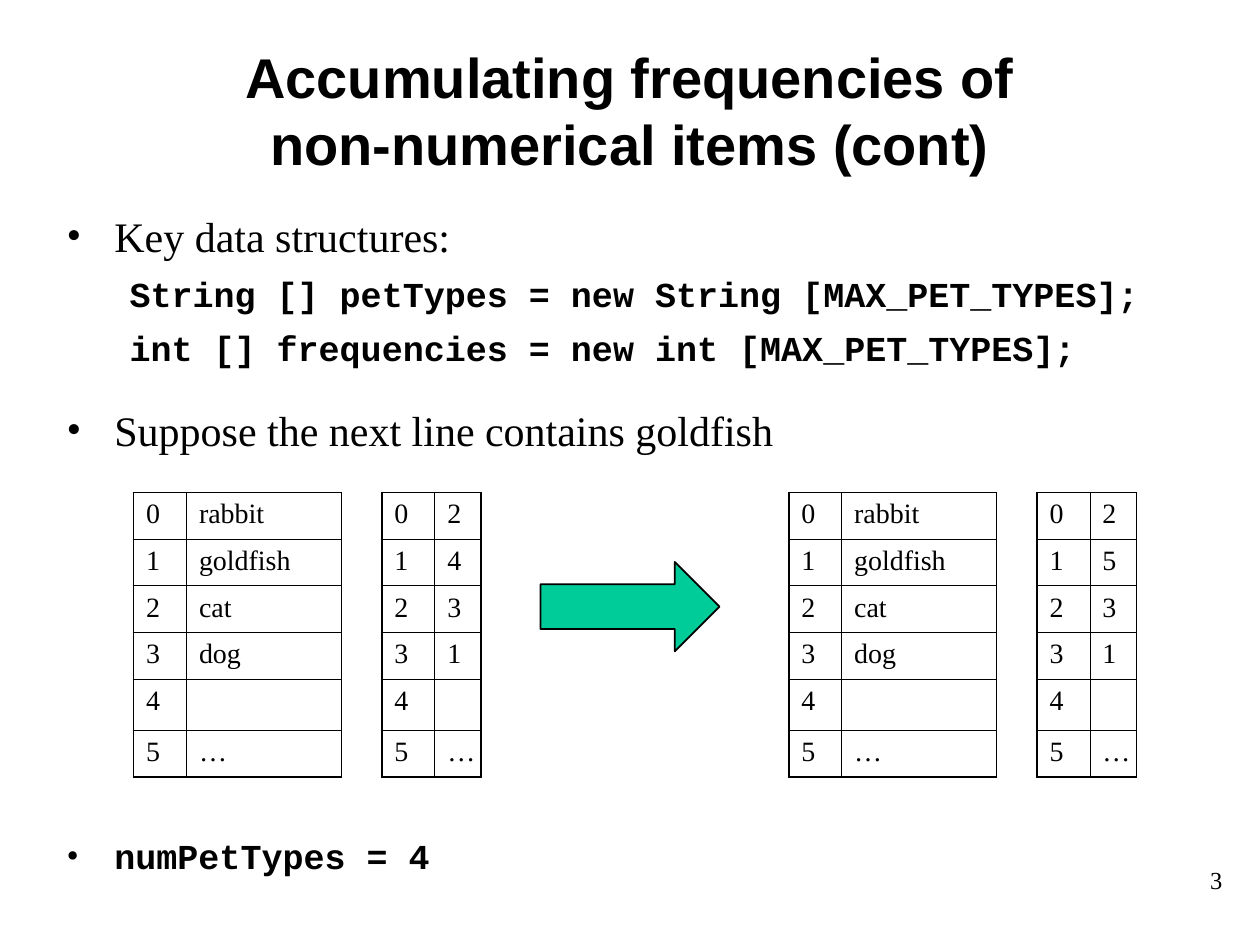
from lxml.etree import SubElement
from pptx import Presentation
from pptx.dml.color import RGBColor
from pptx.enum.shapes import MSO_SHAPE as Shape
from pptx.enum.text import MSO_ANCHOR as Anchor, PP_ALIGN as Align
from pptx.oxml.ns import qn
from pptx.util import Inches, Pt

BLACK = RGBColor(0, 0, 0)
GREEN = RGBColor(0x00, 0xCC, 0x99)
SERIF, SANS, MONO = "Times New Roman", "Arial", "Courier New"
THICK, THIN = Pt(1.08), Pt(0.45)


class Deck:
    """Holds the style and the current slide."""

    def __init__(self):
        self.prs = Presentation()
        self.prs.slide_width, self.prs.slide_height = Inches(10), Inches(7.5)
        self.slide = self.prs.slides.add_slide(self.prs.slide_layouts[6])

    def style(self, para, size, font=SERIF, bold=False):
        for run in para.runs:
            run.font.size, run.font.name, run.font.bold = Pt(size), font, bold
            run.font.color.rgb = BLACK

    def box(self, x, y, w, h, anchor=Anchor.TOP):
        box = self.slide.shapes.add_textbox(*map(Inches, (x, y, w, h)))
        frame = box.text_frame
        frame.word_wrap, frame.vertical_anchor = True, anchor
        return frame

    def label(self, text, place, size, font, bold, align, anchor=Anchor.TOP):
        frame = self.box(*place, anchor)
        frame.text = text
        for para in frame.paragraphs:
            para.alignment = align
            self.style(para, size, font, bold)

    def body(self, lines, place):
        frame = self.box(*place)
        for i, (text, size, font, gap, dot) in enumerate(lines):
            para = frame.add_paragraph() if i else frame.paragraphs[0]
            para.text = text
            para.space_before = Pt(gap)
            self.style(para, size, font, font == MONO)
            props = para._p.get_or_add_pPr()
            left, hang = (0.38, -0.38) if dot else (0.5, 0)
            props.set("marL", str(Inches(left)))
            props.set("indent", str(Inches(hang)))
            if dot:
                SubElement(props, qn("a:buFont"), typeface=SERIF)
                SubElement(props, qn("a:buChar"), char="•")

    def edge(self, cell, side, width):
        props = cell._tc.get_or_add_tcPr()
        line = SubElement(props, qn(f"a:ln{side}"), w=str(width))
        fill = SubElement(line, qn("a:solidFill"))
        SubElement(fill, qn("a:srgbClr"), val=str(BLACK))

    def array(self, x, y, items, wide):
        """Draw an array as a column of indexes and a column of items."""
        rows, cols = [0.37] * len(items), [0.42, wide]
        rows[items.index("")] = 0.41
        size = map(Inches, (x, y, sum(cols), sum(rows)))
        table = self.slide.shapes.add_table(len(rows), 2, *size).table
        table.first_row = table.horz_banding = False
        for col, width in zip(table.columns, cols):
            col.width = Inches(width)
        for r, item in enumerate(items):
            table.rows[r].height = Inches(rows[r])
            for c, text in enumerate((str(r), item)):
                cell = table.cell(r, c)
                cell.text = text
                para = cell.text_frame.paragraphs[0]
                para.space_before = Pt(4)
                self.style(para, 16)
                outer = {"L": c == 0, "R": c == 1,
                         "T": r == 0, "B": r == len(rows) - 1}
                for side, out in outer.items():
                    self.edge(cell, side, THICK if out else THIN)
                cell.fill.background()

    def arrow(self, x, y, w, h):
        place = map(Inches, (x, y, w, h))
        arrow = self.slide.shapes.add_shape(Shape.RIGHT_ARROW, *place)
        arrow.shadow.inherit = False
        arrow.fill.solid()
        arrow.fill.fore_color.rgb = GREEN
        arrow.line.color.rgb = BLACK
        arrow.line.width = Pt(1)


def main():
    deck = Deck()

    # Page number and title
    deck.label("3", (8.39, 6.82, 1.41, 0.5), 14, SERIF, False, Align.RIGHT)
    deck.label("Accumulating frequencies of\vnon-numerical items (cont)",
               (0.75, 0.36, 8.5, 1.02), 32, SANS, True, Align.CENTER,
               Anchor.MIDDLE)

    # Bullets and code: text, size, font, space before, bullet
    deck.body([
        ("Key data structures:", 24, SERIF, 6, True),
        ("String [] petTypes = new String [MAX_PET_TYPES];",
         20, MONO, 7, False),
        ("int [] frequencies = new int [MAX_PET_TYPES];",
         20, MONO, 6.5, False),
        ("Suppose the next line contains goldfish", 24, SERIF, 20.5, True),
        ("numPetTypes = 4", 20, MONO, 217, True),
    ], (0.43, 1.62, 9.13, 5.43))

    # Arrays before and after the next line is read
    pets = ["rabbit", "goldfish", "cat", "dog", "", "…"]
    for x, count in ((1.06, "4"), (6.26, "5")):
        deck.array(x, 3.91, pets, 1.23)
        deck.array(x + 1.97, 3.91, ["2", count, "3", "1", "", "…"], 0.37)
    deck.arrow(4.29, 4.46, 1.42, 0.71)

    deck.prs.save("out.pptx")


if __name__ == "__main__":
    main()
